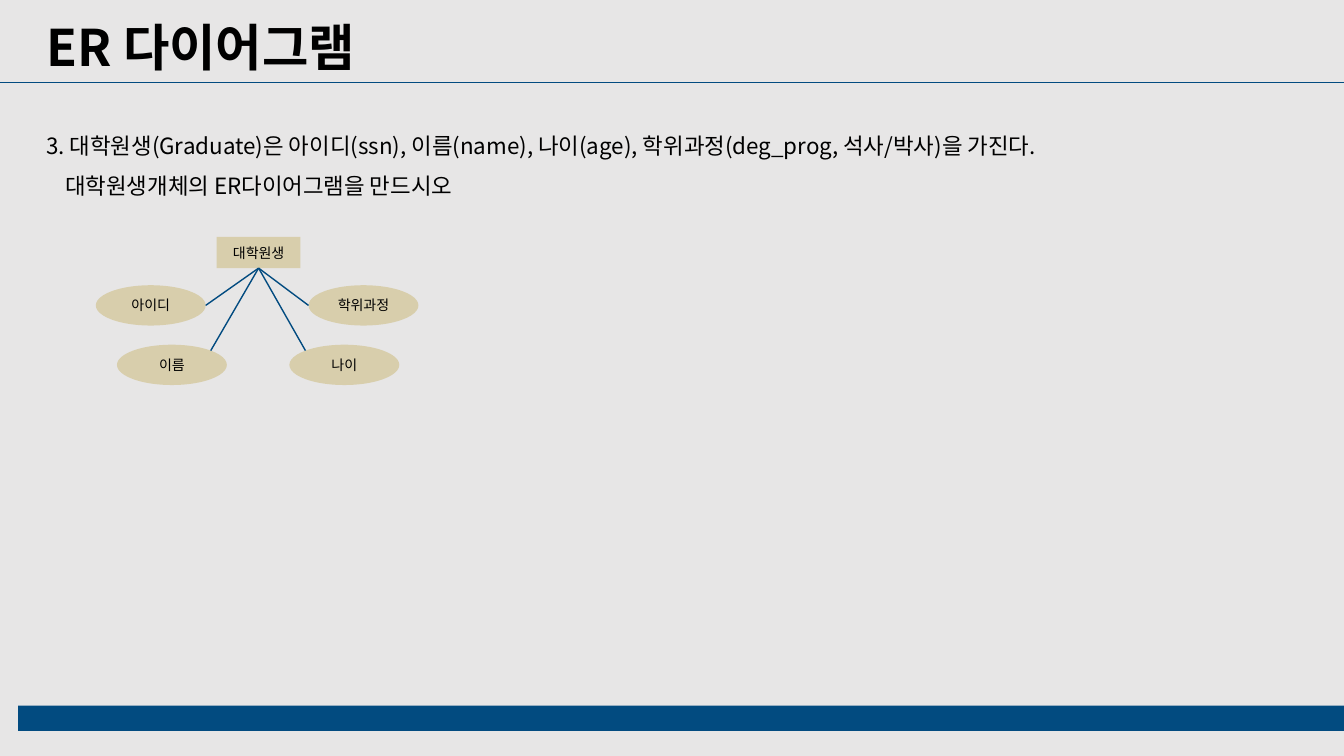
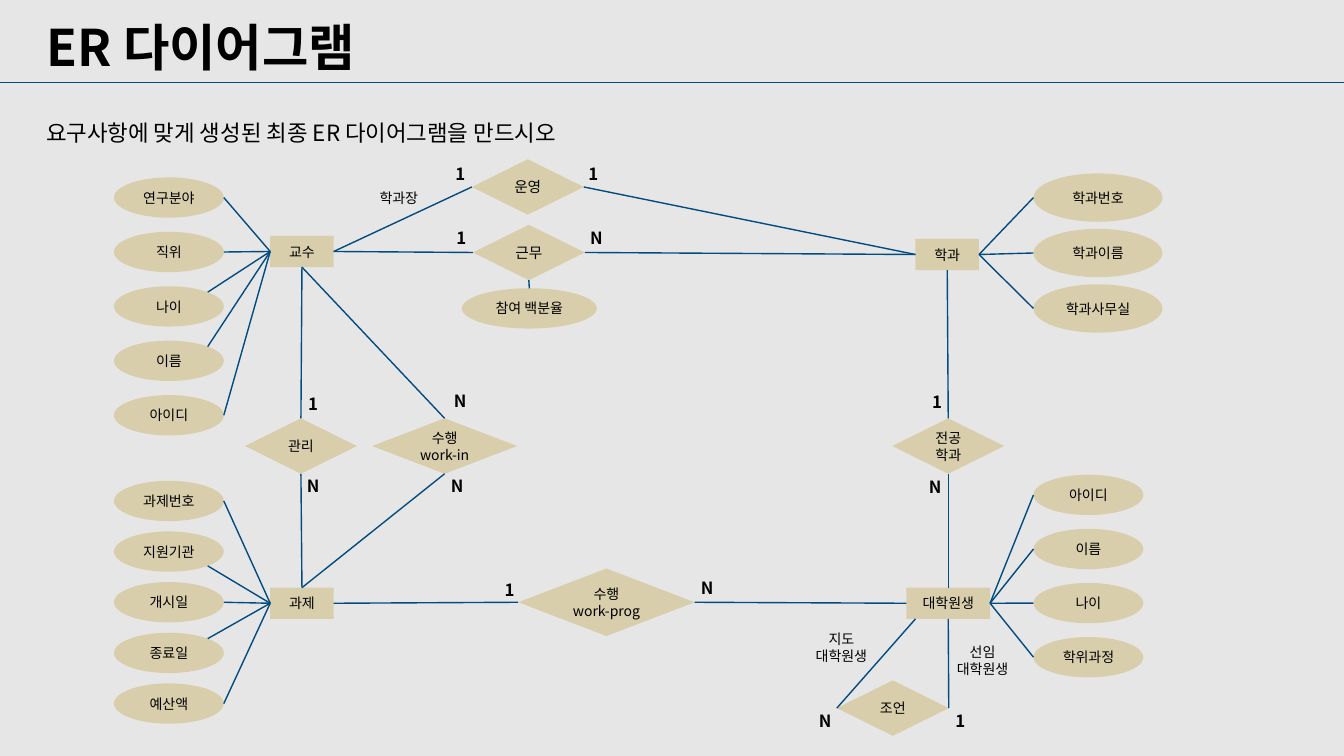
from math import sqrt

from lxml.etree import SubElement
from pptx import Presentation
from pptx.dml.color import RGBColor
from pptx.enum.shapes import MSO_CONNECTOR, MSO_SHAPE
from pptx.enum.text import MSO_ANCHOR, MSO_AUTO_SIZE, PP_ALIGN
from pptx.oxml.ns import qn
from pptx.util import Inches, Pt

COLOURS = {"ground": "E7E6E6", "navy": "024B80", "sand": "D8CEAC", "text": "000000"}
FONT = "Noto Sans CJK KR"
WIDTH, HEIGHT = 13.33, 7.5
TOP, LEFT, BOTTOM, RIGHT = range(4)
ENTITY, WIDE_ENTITY = (0.63, 0.31), (0.83, 0.31)
OVAL, WIDE_OVAL, LONG_OVAL = (1.09, 0.4), (1.28, 0.48), (1.34, 0.4)
RELATION = (1.11, 0.55)


def colour(name):
    """Return a palette colour by name."""
    return RGBColor.from_string(COLOURS[name])


def write(frame, text, size, bold=False, align=PP_ALIGN.CENTER, anchor=MSO_ANCHOR.MIDDLE, spacing=None):
    """Fill a text frame, one paragraph a line, in the shared font."""
    frame.text = text
    frame.word_wrap = True
    frame.auto_size = MSO_AUTO_SIZE.NONE
    frame.vertical_anchor = anchor
    for para in frame.paragraphs:
        para.alignment = align
        para.line_spacing = spacing
        font = para.font
        font.size, font.bold, font.name = Pt(size), bold, FONT
        font.color.rgb = colour("text")
        properties = para._p.pPr.find(qn("a:defRPr"))
        SubElement(properties, qn("a:ea")).set("typeface", FONT)


def add_block(page, kind, left, top, size, fill="sand"):
    """Add a flat filled shape."""
    block = page.shapes.add_shape(kind, Inches(left), Inches(top), *map(Inches, size))
    block.shadow.inherit = False
    block.fill.solid()
    block.fill.fore_color.rgb = colour(fill)
    block.line.fill.background()
    return block


def add_node(page, kind, text, left, top, size, points=10):
    """Add a labelled node of the diagram."""
    node = add_block(page, kind, left, top, size)
    write(node.text_frame, text, points)
    if kind == MSO_SHAPE.OVAL:
        node.text_frame.margin_left = node.text_frame.margin_right = 0
    return node


def add_label(page, text, left, top, size, points=10, bold=False):
    """Add centred text without a fill."""
    label = page.shapes.add_textbox(Inches(left), Inches(top), *map(Inches, size))
    frame = label.text_frame
    frame.margin_left = frame.margin_right = frame.margin_top = frame.margin_bottom = 0
    write(frame, text, points, bold)


def add_line(page, start, end, width=1):
    """Draw a plain line between two points."""
    line = page.shapes.add_connector(MSO_CONNECTOR.STRAIGHT, *start, *end)
    line.line.color.rgb = colour("navy")
    line.line.width = Pt(width)
    SubElement(line._element.spPr, qn("a:effectLst"))
    return line


def link(page, first, first_side, second, second_side):
    """Join the sides of two nodes."""
    line = add_line(page, (0, 0), (0, 0))
    line.begin_connect(first, first_side)
    line.end_connect(second, second_side)


def rim(oval, across, down):
    """Return the point of an oval's rim in one of eight directions."""
    reach = sqrt(0.5) if across and down else 1
    return (
        int(oval.left + oval.width / 2 * (1 + across * reach)),
        int(oval.top + oval.height / 2 * (1 + down * reach)),
    )


def add_attribute(page, owner, side, text, left, top, direction, size=OVAL):
    """Add an attribute oval and tie it to its owner."""
    oval = add_node(page, MSO_SHAPE.OVAL, text, left, top, size)
    line = add_line(page, (0, 0), rim(oval, *direction))
    line.begin_connect(owner, side)


def add_attribute_column(page, owner, side, left, top, height, attributes, size=OVAL):
    """Spread attributes evenly over a column beside their owner."""
    pitch = (height - size[1]) / (len(attributes) - 1)
    across = 1 if side == LEFT else -1
    for row, (text, down) in enumerate(attributes):
        add_attribute(page, owner, side, text, left, top + row * pitch, (across, down), size)


def add_page(deck, title):
    """Add a page with the shared title and rule."""
    page = deck.slides.add_slide(deck.slide_layouts[5])
    box = page.shapes.title
    box.left, box.top, box.width, box.height = map(Inches, (0.36, 0.11, 8.71, 0.71))
    write(box.text_frame, title, 36, True, PP_ALIGN.LEFT, MSO_ANCHOR.TOP)
    add_line(page, (0, Inches(0.82)), (Inches(WIDTH), Inches(0.82)), 0.5)
    return page


def add_task(page, text, left, top, width, height):
    """Add the task wording and return its paragraphs."""
    box = page.shapes.add_textbox(*map(Inches, (left, top, width, height)))
    write(box.text_frame, text, 16, False, PP_ALIGN.LEFT, MSO_ANCHOR.TOP, 1.5)
    return box.text_frame.paragraphs


def draw_graduate(page, left, top):
    """Draw the graduate entity with its four attributes."""
    graduate = add_node(page, MSO_SHAPE.RECTANGLE, "대학원생", left + 1.2, top, WIDE_ENTITY)
    for text, x, y, direction in (
        ("아이디", 0, 0.48, (1, 0)),
        ("이름", 0.21, 1.07, (1, -1)),
        ("나이", 1.92, 1.07, (-1, -1)),
        ("학위과정", 2.11, 0.48, (-1, 0)),
    ):
        add_attribute(page, graduate, BOTTOM, text, left + x, top + y, direction)


def draw_university(page, left, top):
    """Draw the complete entity-relationship diagram."""
    professor, department, project, graduate = (
        add_node(page, MSO_SHAPE.RECTANGLE, text, left + x, top + y, size)
        for text, x, y, size in (
            ("교수", 1.55, 0.76, ENTITY),
            ("학과", 7.95, 0.79, ENTITY),
            ("과제", 1.55, 4.25, ENTITY),
            ("대학원생", 7.86, 4.25, WIDE_ENTITY),
        )
    )
    runs, works, manages, works_in, works_prog, major, advises = (
        add_node(page, MSO_SHAPE.DIAMOND, text, left + x, top + y, size, points)
        for text, x, y, size, points in (
            ("운영", 3.55, 0, RELATION, 10.5),
            ("근무", 3.56, 0.65, RELATION, 10.5),
            ("관리", 1.3, 2.57, RELATION, 10),
            ("수행\nwork-in", 2.56, 2.57, (1.44, 0.55), 10),
            ("수행\nwork-prog", 4.01, 4.06, (1.75, 0.67), 10),
            ("전공학과", 7.72, 2.57, RELATION, 10),
            ("조언", 7.17, 5.17, RELATION, 10),
        )
    )
    for owner, side, x, y, height, size, attributes in (
        (professor, LEFT, 0, 0.18, 2.56, OVAL,
         (("연구분야", 0), ("직위", 0), ("나이", -1), ("이름", -1), ("아이디", 0))),
        (project, LEFT, 0, 3.19, 2.41, OVAL,
         (("과제번호", 0), ("지원기관", 1), ("개시일", 0), ("종료일", -1), ("예산액", 0))),
        (department, RIGHT, 9.12, 0.14, 1.58, WIDE_OVAL,
         (("학과번호", 0), ("학과이름", 0), ("학과사무실", 0))),
        (graduate, RIGHT, 9.12, 3.13, 2.01, OVAL,
         (("아이디", 0), ("이름", 0), ("나이", 0), ("학위과정", 0))),
    ):
        add_attribute_column(page, owner, side, left + x, top + y, height, attributes, size)
    add_attribute(page, works, BOTTOM, "참여 백분율", left + 3.45, top + 1.28, (0, -1), LONG_OVAL)

    for ends in (
        (professor, RIGHT, runs, LEFT),
        (professor, RIGHT, works, LEFT),
        (runs, RIGHT, department, LEFT),
        (works, RIGHT, department, LEFT),
        (professor, BOTTOM, manages, TOP),
        (manages, BOTTOM, project, TOP),
        (professor, BOTTOM, works_in, TOP),
        (works_in, BOTTOM, project, TOP),
        (project, RIGHT, works_prog, LEFT),
        (works_prog, RIGHT, graduate, LEFT),
        (department, BOTTOM, major, TOP),
        (major, BOTTOM, graduate, TOP),
        (graduate, BOTTOM, advises, RIGHT),
    ):
        link(page, *ends)
    advised = add_line(page, (0, 0), (Inches(left + 7.95), graduate.top + graduate.height))
    advised.begin_connect(advises, LEFT)

    for text, x, y in (
        ("학과장", 2.28, 0.18),
        ("선임\n대학원생", 8.07, 4.77),
        ("지도\n대학원생", 6.67, 4.64),
    ):
        add_label(page, text, left + x, top + y, OVAL)
    for text, x, y in (
        ("1", 3.32, 0.01), ("1", 4.64, 0.01),
        ("1", 3.33, 0.65), ("N", 4.67, 0.65),
        ("1", 1.86, 2.3), ("N", 1.86, 3.11),
        ("N", 3.32, 2.27), ("N", 3.29, 3.11),
        ("1", 3.81, 4.14), ("N", 5.77, 4.12),
        ("1", 8.05, 2.28), ("N", 8.03, 3.12),
        ("1", 8.28, 5.44), ("N", 6.94, 5.44),
    ):
        add_label(page, text, left + x, top + y, (0.23, 0.26), 12, True)


def main():
    """Build and save the deck."""
    deck = Presentation()
    deck.slide_width, deck.slide_height = Inches(WIDTH), Inches(HEIGHT)
    ground = deck.slide_master.background.fill
    ground.solid()
    ground.fore_color.rgb = colour("ground")

    page = add_page(deck, "ER 다이어그램")
    add_block(page, MSO_SHAPE.RECTANGLE, 0.18, 7, (13.15, 0.25), "navy")
    paragraphs = add_task(
        page,
        "3. 대학원생(Graduate)은 아이디(ssn), 이름(name), 나이(age), "
        "학위과정(deg_prog, 석사/박사)을 가진다.\n대학원생개체의 ER다이어그램을 만드시오",
        0.36, 1.13, 10.48, 0.91,
    )
    paragraphs[1]._p.pPr.set("indent", str(Inches(0.19)))
    draw_graduate(page, 0.95, 2.35)

    page = add_page(deck, "ER 다이어그램")
    add_task(page, "요구사항에 맞게 생성된 최종 ER 다이어그램을 만드시오", 0.36, 1, 10.86, 0.45)
    draw_university(page, 1.13, 1.58)

    deck.save("out.pptx")


if __name__ == "__main__":
    main()
